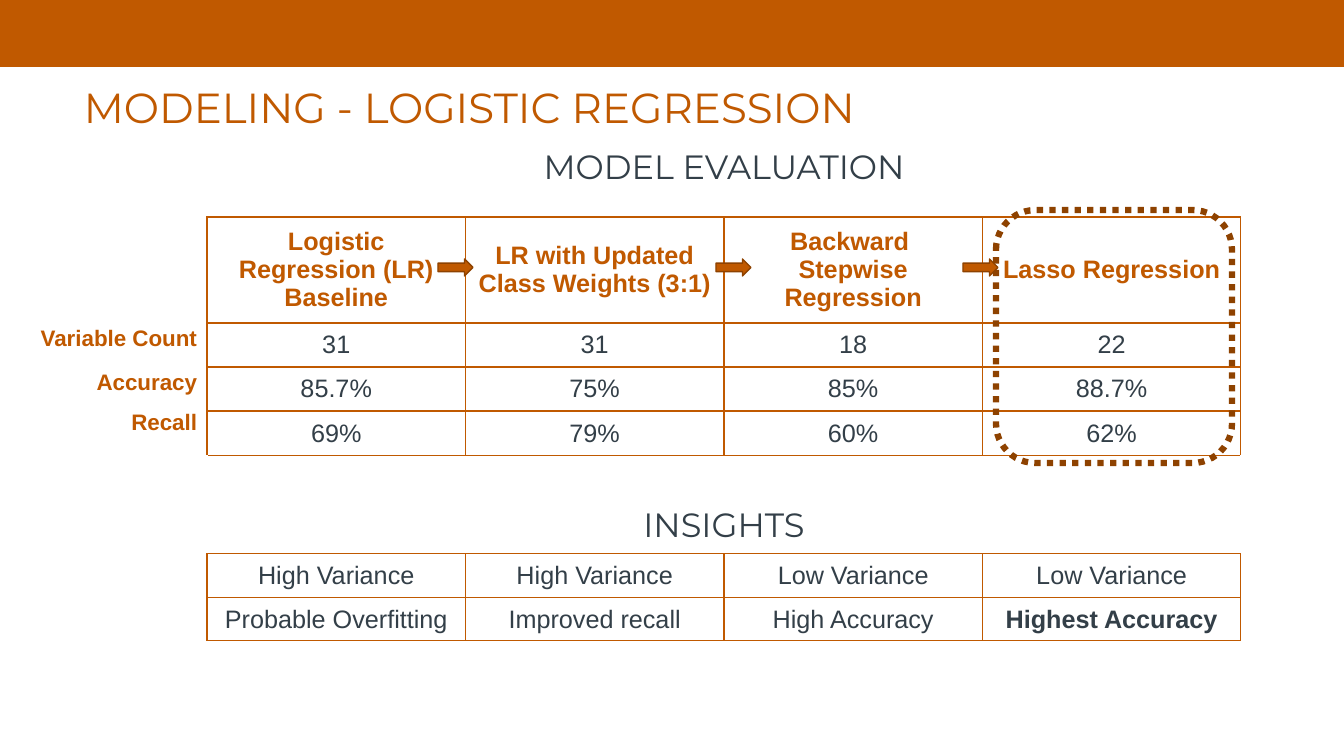
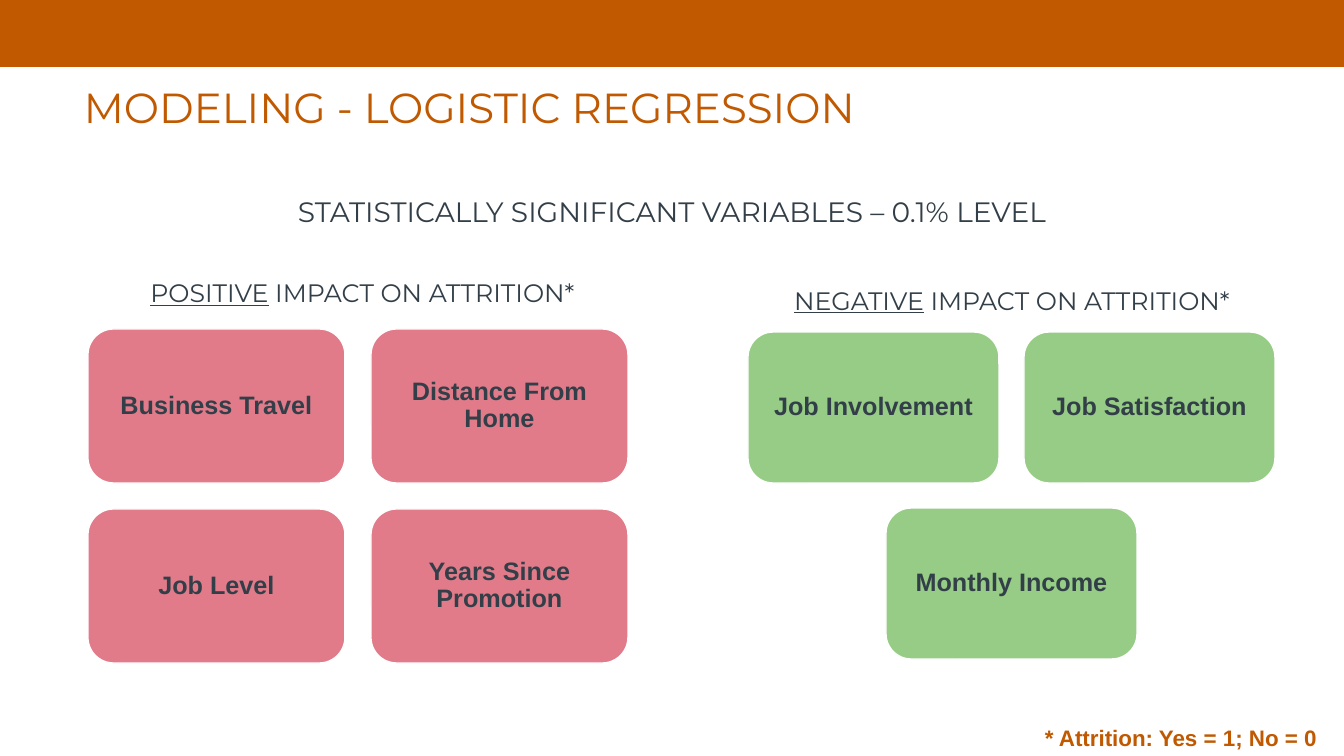
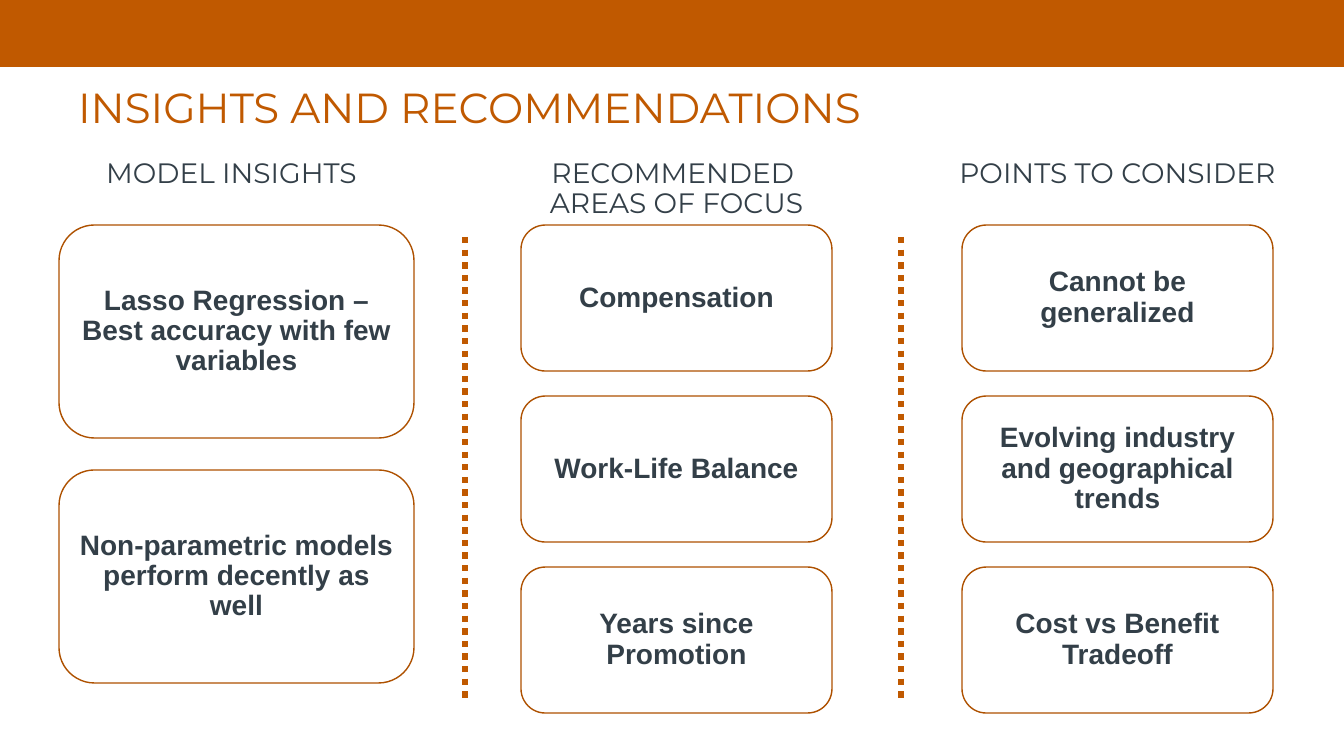
import pptx
import pptx.dml.color
import pptx.enum.dml
import pptx.enum.shapes
import pptx.enum.text
import pptx.oxml
import pptx.oxml.ns
import pptx.util
from lxml import etree

SCALE = 914400 / 100.8
ORANGE, BROWN, RUST, SLATE = "C05900", "8E4200", "AE5100", "333F48"
RED, GREEN, WHITE = "E17B8A", "96CC85", "FFFFFF"
BODY, DISPLAY = "Arial", "Montserrat"
ALIGN = pptx.enum.text.PP_ALIGN
ANCHOR = pptx.enum.text.MSO_ANCHOR
SHAPE = pptx.enum.shapes.MSO_SHAPE
DOTTED = pptx.enum.dml.MSO_LINE.ROUND_DOT


def pixels(*values):
    return [round(value * SCALE) for value in values]


def color(code):
    return pptx.dml.color.RGBColor.from_string(code)


class Deck:
    """Holds the shared style and the slide being built."""

    def __init__(self):
        self.presentation = pptx.Presentation()
        self.presentation.slide_width, self.presentation.slide_height = pixels(1344, 756)
        self.slide = None

    def new_slide(self, title):
        self.slide = self.presentation.slides.add_slide(self.presentation.slide_layouts[6])
        self.shape(SHAPE.RECTANGLE, 0, 0, 1344, 67, fill=ORANGE)
        self.heading(title, -110, 37, 1159, 146, size=30, code=ORANGE)

    def fill_text(self, frame, text, size, code, font=BODY, bold=False,
                  align=ALIGN.CENTER, spacing=None, underlined=""):
        for index, line in enumerate(text.split("\n")):
            paragraph = frame.paragraphs[0] if index == 0 else frame.add_paragraph()
            paragraph.alignment = align
            paragraph.line_spacing = spacing
            for part in filter(None, (underlined, line)):
                run = paragraph.add_run()
                run.text = part
                run.font.size = pptx.util.Pt(size)
                run.font.name = font
                run.font.bold = bold
                run.font.underline = part == underlined
                run.font.color.rgb = color(code)

    def text(self, text, left, top, width, height, anchor=ANCHOR.TOP, **style):
        frame = self.slide.shapes.add_textbox(*pixels(left, top, width, height)).text_frame
        frame.word_wrap = True
        frame.vertical_anchor = anchor
        self.fill_text(frame, text, **style)

    def heading(self, text, left, top, width, height, size=20, code=SLATE,
                anchor=ANCHOR.MIDDLE, underlined=""):
        self.text(text, left, top, width, height, anchor, size=size, code=code,
                  font=DISPLAY, spacing=0.9, underlined=underlined)

    def note(self, text, left, top, width, align):
        self.text(text, left, top, width, 37, size=16, code=ORANGE, bold=True, align=align)

    def style_line(self, line, code, weight, dash):
        line.color.rgb = color(code)
        line.width = pptx.util.Pt(weight)
        line.dash_style = dash

    def shape(self, kind, left, top, width, height, fill=None, line=None, weight=1, dash=None):
        shape = self.slide.shapes.add_shape(kind, *pixels(left, top, width, height))
        shape.shadow.inherit = False
        if fill:
            shape.fill.solid()
            shape.fill.fore_color.rgb = color(fill)
        else:
            shape.fill.background()
        if line:
            self.style_line(shape.line, line, weight, dash)
        else:
            shape.line.fill.background()
        return shape

    def cards(self, labels, left, top, width, height, columns, gap, fill, line, size):
        for index, label in enumerate(labels):
            row, column = divmod(index, columns)
            missing = max(0, (row + 1) * columns - len(labels))
            x = left + (column + missing / 2) * (width + gap)
            y = top + row * (height + gap)
            card = self.shape(SHAPE.ROUNDED_RECTANGLE, x, y, width, height, fill, line)
            frame = card.text_frame
            frame.word_wrap = True
            frame.vertical_anchor = ANCHOR.MIDDLE
            (frame.margin_left, frame.margin_top,
             frame.margin_right, frame.margin_bottom) = pixels(7, 7, 7, 7)
            self.fill_text(frame, label, size, SLATE, bold=True, spacing=0.9)

    def divider(self, x, top, bottom):
        connector = self.slide.shapes.add_connector(
            pptx.enum.shapes.MSO_CONNECTOR.STRAIGHT, *pixels(x, top, x, bottom))
        self.style_line(connector.line, ORANGE, 4.5, DOTTED)
        etree.SubElement(connector._element.spPr, pptx.oxml.ns.qn("a:effectLst"))

    def borders(self, cell, sides):
        properties = cell._tc.get_or_add_tcPr()
        for side in sides:
            properties.append(pptx.oxml.parse_xml(
                f'<a:ln{side} {pptx.oxml.ns.nsdecls("a")} w="12700"><a:solidFill>'
                f'<a:srgbClr val="{ORANGE}"/></a:solidFill></a:ln{side}>'))

    def table(self, rows, heights, left, top, width):
        columns = len(rows[0])
        frame = self.slide.shapes.add_table(
            len(rows), columns, *pixels(left, top, width, sum(heights)))
        table = frame.table
        table.first_row = table.horz_banding = False
        for index, (values, height) in enumerate(zip(rows, heights)):
            table.rows[index].height = pixels(height)[0]
            section = len(values) == 1
            if section:
                table.cell(index, 0).merge(table.cell(index, columns - 1))
            for column in range(columns):
                cell = table.cell(index, column)
                self.borders(cell, "TB" if section else "LRTB")
                cell.fill.background()
                cell.vertical_anchor = ANCHOR.BOTTOM if section else ANCHOR.MIDDLE
                if column >= len(values):
                    continue
                if section:
                    cell.margin_bottom = pixels(8)[0]
                    self.fill_text(cell.text_frame, values[0], 24, SLATE, DISPLAY)
                else:
                    self.fill_text(cell.text_frame, values[column], 18,
                                   SLATE if index else ORANGE,
                                   bold=index == 0 or values[column] == "Highest Accuracy")


deck = Deck()

deck.new_slide("MODELING - LOGISTIC REGRESSION")
deck.table([
    ["Logistic Regression (LR) Baseline", "LR with Updated Class Weights (3:1)",
     "Backward\u00a0\nStepwise Regression", "Lasso Regression"],
    ["31", "31", "18", "22"],
    ["85.7%", "75%", "85%", "88.7%"],
    ["69%", "79%", "60%", "62%"],
    ["INSIGHTS"],
    ["High Variance", "High Variance", "Low Variance", "Low Variance"],
    ["Probable Overfitting", "Improved recall", "High Accuracy", "Highest Accuracy"],
], [106, 44, 44, 45, 98, 44, 43], 207, 217, 1034)
for label, top in (("Variable Count", 319), ("Accuracy", 363), ("Recall", 403)):
    deck.note(label, 21, top, 186, ALIGN.RIGHT)
deck.shape(SHAPE.ROUNDED_RECTANGLE, 996, 210, 236, 253, line=BROWN, weight=4.5, dash=DOTTED)
deck.heading("MODEL EVALUATION", 52, 145, 1344, 89, size=24, anchor=ANCHOR.TOP)
for left in (438, 716, 963):
    deck.shape(SHAPE.RIGHT_ARROW, left, 259, 35, 17, ORANGE, BROWN)

deck.new_slide("MODELING - LOGISTIC REGRESSION")
deck.heading("STATISTICALLY SIGNIFICANT VARIABLES – 0.1% LEVEL", 0, 169, 1344, 89)
deck.heading(" IMPACT ON ATTRITION*", 93, 253, 539, 83, size=18, underlined="POSITIVE")
deck.heading(" IMPACT ON ATTRITION*", 748, 267, 528, 70, size=18, underlined="NEGATIVE")
deck.cards(["Business Travel", "Distance From Home", "Job Level", "Years Since Promotion"],
           88, 329, 257, 154, 2, 26, RED, WHITE, 18)
deck.cards(["Job Involvement", "Job Satisfaction", "Monthly Income"],
           748, 332, 251, 151, 2, 25, GREEN, WHITE, 18)
deck.note("* Attrition: Yes = 1; No = 0", 1035, 719, 301, ALIGN.LEFT)

deck.new_slide("INSIGHTS AND RECOMMENDATIONS")
deck.heading("MODEL INSIGHTS", -2, 133, 467, 83)
deck.heading("RECOMMENDED \nAREAS OF FOCUS", 443, 148, 467, 83)
deck.heading("POINTS TO CONSIDER", 884, 133, 467, 83)
for x in (465, 901):
    deck.divider(x, 237, 702)
deck.cards(["Lasso Regression – Best accuracy with few variables",
            "Non-parametric models perform decently as well"],
           59, 225, 355, 213, 1, 32, WHITE, RUST, 20)
deck.cards(["Compensation", "Work-Life Balance", "Years since Promotion"],
           521, 225, 311, 146, 1, 25, WHITE, RUST, 20)
deck.cards(["Cannot be generalized", "Evolving industry and geographical trends",
            "Cost vs Benefit Tradeoff"],
           962, 225, 311, 146, 1, 25, WHITE, RUST, 20)

deck.presentation.save("out.pptx")
